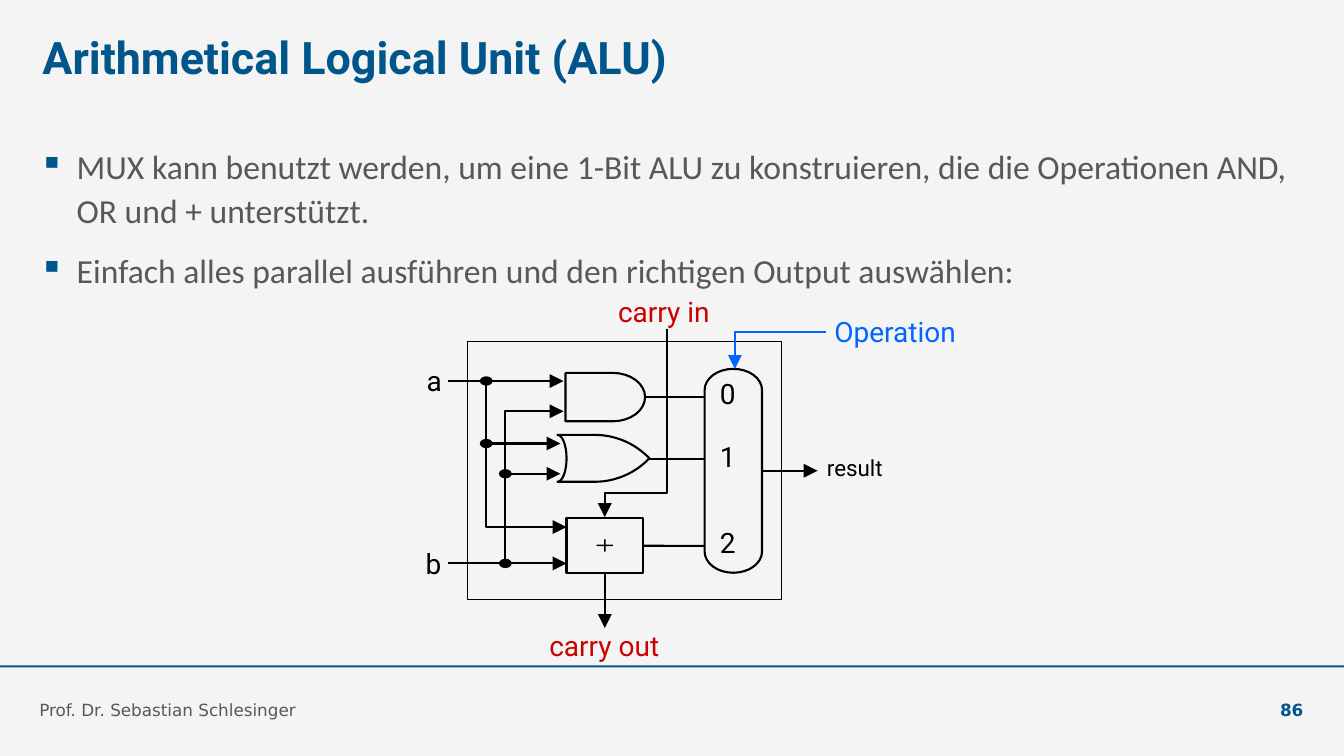
"""Build the slide about a one-bit arithmetical logical unit."""
import math

import lxml.etree
import pptx
import pptx.dml.color
import pptx.enum.shapes
import pptx.enum.text
import pptx.oxml.ns
import pptx.util

RGBColor = pptx.dml.color.RGBColor
SHAPES = pptx.enum.shapes.MSO_SHAPE
ALIGN = pptx.enum.text.PP_ALIGN
ANCHOR = pptx.enum.text.MSO_ANCHOR
qn = pptx.oxml.ns.qn

BACKGROUND = RGBColor(0xF4, 0xF4, 0xF4)
NAVY = RGBColor(0x00, 0x56, 0x8A)
GRAY = RGBColor(0x58, 0x58, 0x5A)
BLACK = RGBColor(0x00, 0x00, 0x00)
BLUE = RGBColor(0x00, 0x66, 0xFF)
RED = RGBColor(0xCC, 0x00, 0x00)

WIDTH = pptx.util.Inches(13.33)
HEIGHT = pptx.util.Inches(7.5)

A_X, B_X, LEAD_X = 36.18, 37.6, 33.3
A_Y, B_Y = 50.4, 74.53
GATE_X, OR_TIP_X, ADDER_X = 41.93, 41.7, 42.15
MUX_X, MUX_RIGHT, MUX_TOP = 52.43, 56.7, 48.8


def col(share):
    """Turn a percentage of the slide width into a length."""
    return round(WIDTH * share / 100)


def row(share):
    """Turn a percentage of the slide height into a length."""
    return round(HEIGHT * share / 100)


def add_text(page, at, lines, *, size, color, font="Roboto", bold=False,
             align=ALIGN.LEFT, anchor=ANCHOR.TOP, spacing=None, wrap=True,
             fit=False, bullet=False):
    """Add a text box with one paragraph for each line."""
    left, top, width, height = at
    box = page.shapes.add_textbox(col(left), row(top), col(width), row(height))
    frame = box.text_frame
    frame.margin_left = frame.margin_right = 0
    frame.margin_top = frame.margin_bottom = 0
    frame.word_wrap = wrap
    frame.vertical_anchor = anchor
    if fit:
        frame.auto_size = pptx.enum.text.MSO_AUTO_SIZE.SHAPE_TO_FIT_TEXT
    for index, line in enumerate(lines):
        para = frame.add_paragraph() if index else frame.paragraphs[0]
        para.alignment = align
        para.line_spacing = spacing
        if bullet:
            para.space_before = pptx.util.Pt(12 if index else 0)
            add_bullet(para)
        span = para.add_run()
        span.text = line
        span.font.name = font
        span.font.size = pptx.util.Pt(size)
        span.font.bold = bold
        span.font.color.rgb = color
    return box


def add_bullet(para):
    """Give a paragraph a hanging square bullet."""
    indent = pptx.util.Inches(0.37)
    props = para._p.get_or_add_pPr()
    props.set("marL", str(indent))
    props.set("indent", str(-indent))
    tint = lxml.etree.SubElement(props, qn("a:buClr"))
    lxml.etree.SubElement(tint, qn("a:srgbClr"), val=str(NAVY))
    lxml.etree.SubElement(props, qn("a:buChar"), char="▪")


def add_label(page, left, top, text, width=1.2, size=20, color=BLACK):
    """Add a centred label of the circuit."""
    add_text(page, (left, top, width, size * 0.16), [text], size=size,
             color=color, align=ALIGN.CENTER, spacing=0.7, wrap=False, fit=True)


def add_block(page, kind, at, fill=None, weight=None):
    """Add a preset shape, filled or outlined."""
    left, top, width, height = at
    block = page.shapes.add_shape(kind, col(left), row(top), col(width), row(height))
    block.shadow.inherit = False
    if fill is None:
        block.fill.background()
    else:
        block.fill.solid()
        block.fill.fore_color.rgb = fill
    if weight is None:
        block.line.fill.background()
    else:
        set_line(block, BLACK, weight)
    return block


def set_line(shape, color, weight=1.5):
    """Set the colour and weight of a line."""
    shape.line.color.rgb = color
    shape.line.width = pptx.util.Pt(weight)


def add_outline(page, points, color=BLACK, close=True):
    """Draw an unfilled outline through points."""
    corners = [(col(x), row(y)) for x, y in points]
    builder = page.shapes.build_freeform(*corners[0])
    builder.add_line_segments(corners[1:], close=close)
    outline = builder.convert_to_shape()
    outline.shadow.inherit = False
    outline.fill.background()
    set_line(outline, color)
    return outline


def add_wire(page, *points, color=BLACK, arrow=False):
    """Draw a wire through points, with an optional arrowhead."""
    if len(points) == 2:
        (x1, y1), (x2, y2) = points
        wire = page.shapes.add_connector(
            pptx.enum.shapes.MSO_CONNECTOR.STRAIGHT, col(x1), row(y1), col(x2), row(y2))
        set_line(wire, color)
        lxml.etree.SubElement(wire._element.spPr, qn("a:effectLst"))
    else:
        wire = add_outline(page, points, color, close=False)
    if arrow:
        line = wire._element.spPr.find(qn("a:ln"))
        lxml.etree.SubElement(line, qn("a:tailEnd"), type="triangle", w="lg", len="lg")
    return wire


def arc(x, y, x_radius, y_radius, start, end, steps=16):
    """List points of an elliptical arc between two angles."""
    angles = [math.radians(start + (end - start) * step / steps)
              for step in range(steps + 1)]
    return [(x + x_radius * math.cos(angle), y + y_radius * math.sin(angle))
            for angle in angles]


def add_gates(page):
    """Draw the AND gate, the OR gate and the multiplexer."""
    add_outline(page, [(42.08, 49.33)] + arc(45.6, 52.53, 2.4, 3.2, -90, 90)
                + [(42.08, 55.73)])
    add_outline(page, arc(41.48, 60.63, 0.68, 3.1, 90, -90)
                + arc(44.25, 67.52, 5.62, 9.99, -90, -43.6)
                + arc(44.25, 53.74, 5.62, 9.99, 43.6, 90))
    middle, radius = (MUX_X + MUX_RIGHT) / 2, (MUX_RIGHT - MUX_X) / 2
    add_outline(page, arc(middle, 51.6, radius, 2.8, -180, 0)
                + arc(middle, 72.97, radius, 2.8, 0, 180))


def add_wiring(page, adder):
    """Draw all wires and their junctions."""
    for start, end in (((LEAD_X, A_Y), (GATE_X, A_Y)),
                       ((LEAD_X, B_Y), (ADDER_X, B_Y)),
                       ((A_X, 58.67), (OR_TIP_X, 58.67)),
                       ((B_X, 62.67), (OR_TIP_X, 62.67)),
                       ((MUX_RIGHT, 62.27), (60.83, 62.27))):
        add_wire(page, start, end, arrow=True)
    add_wire(page, (B_X, B_Y), (B_X, 54.4), (GATE_X, 54.4), arrow=True)
    add_wire(page, (A_X, A_Y), (A_X, 69.73), (ADDER_X, 69.73), arrow=True)
    add_wire(page, (49.65, 43.47), (49.65, 65.2), (45, 65.2), (45, 68.4), arrow=True)
    add_wire(page, (61.43, 43.87), (54.68, 43.87), (54.68, MUX_TOP),
             color=BLUE, arrow=True)
    for left, y in ((48, 52.53), (48.3, 60.7)):
        add_wire(page, (left, y), (MUX_X, y))
    add_wire(page, (47.85, 72.2), (MUX_X, 72.2)).begin_connect(adder, 3)
    add_wire(page, (45, 75.87), (45, 83.07), arrow=True).begin_connect(adder, 2)
    for x, y in ((A_X, A_Y), (A_X, 58.67), (B_X, 62.67), (B_X, B_Y)):
        add_block(page, SHAPES.OVAL, (x - 0.48, y - 0.62, 0.96, 1.24), BLACK)


def add_labels(page):
    """Name the inputs, the outputs and the multiplexer channels."""
    add_label(page, 31.72, 49.33, "a")
    add_label(page, 31.65, 73.47, "b")
    for digit, top in (("0", 51.07), ("1", 59.33), ("2", 70.67)):
        add_label(page, 53.55, top, digit)
    add_label(page, 58.88, 61.07, "result", 9.45, size=16)
    add_label(page, 61.88, 42.8, "Operation", 9.45, color=BLUE)
    add_label(page, 39.23, 40.13, "carry in", 20.33, color=RED)
    add_label(page, 34.8, 84.4, "carry out", 20.33, color=RED)


def main():
    """Build and save the deck."""
    deck = pptx.Presentation()
    deck.slide_width, deck.slide_height = WIDTH, HEIGHT
    page = deck.slides.add_slide(deck.slide_layouts[6])
    page.background.fill.solid()
    page.background.fill.fore_color.rgb = BACKGROUND

    add_block(page, SHAPES.RECTANGLE, (0, 88, 100, 0.27), NAVY)
    add_text(page, (3.15, 4.8, 62.5, 8.4), ["Arithmetical Logical Unit (ALU)"],
             size=32, color=NAVY, bold=True, spacing=0.9)
    add_text(page, (2.93, 18.93, 94.13, 64.8), [
        "MUX kann benutzt werden, um eine 1-Bit ALU zu konstruieren, "
        "die die Operationen AND, OR und + unterstützt.",
        "Einfach alles parallel ausführen und den richtigen Output auswählen:",
    ], size=24, color=GRAY, font="Calibri", spacing=1.08, bullet=True)
    add_text(page, (2.93, 90, 69, 5.2), ["Prof. Dr. Sebastian Schlesinger"],
             size=12, color=GRAY, font="DejaVu Sans", anchor=ANCHOR.BOTTOM)
    add_text(page, (90.23, 90, 6.75, 5.2), ["86"], size=12, color=NAVY, bold=True,
             font="DejaVu Sans", align=ALIGN.RIGHT, anchor=ANCHOR.BOTTOM)

    add_block(page, SHAPES.RECTANGLE, (34.8, 45.2, 23.35, 34.13), weight=0.75)
    adder = add_block(page, SHAPES.RECTANGLE, (ADDER_X, 68.53, 5.7, 7.33), weight=1.5)
    plus = add_block(page, SHAPES.MATH_PLUS, (44.18, 71.05, 1.64, 2.2), BLACK)
    plus.adjustments[0] = 0.09
    add_gates(page)
    add_wiring(page, adder)
    add_labels(page)
    deck.save("out.pptx")


if __name__ == "__main__":
    main()
